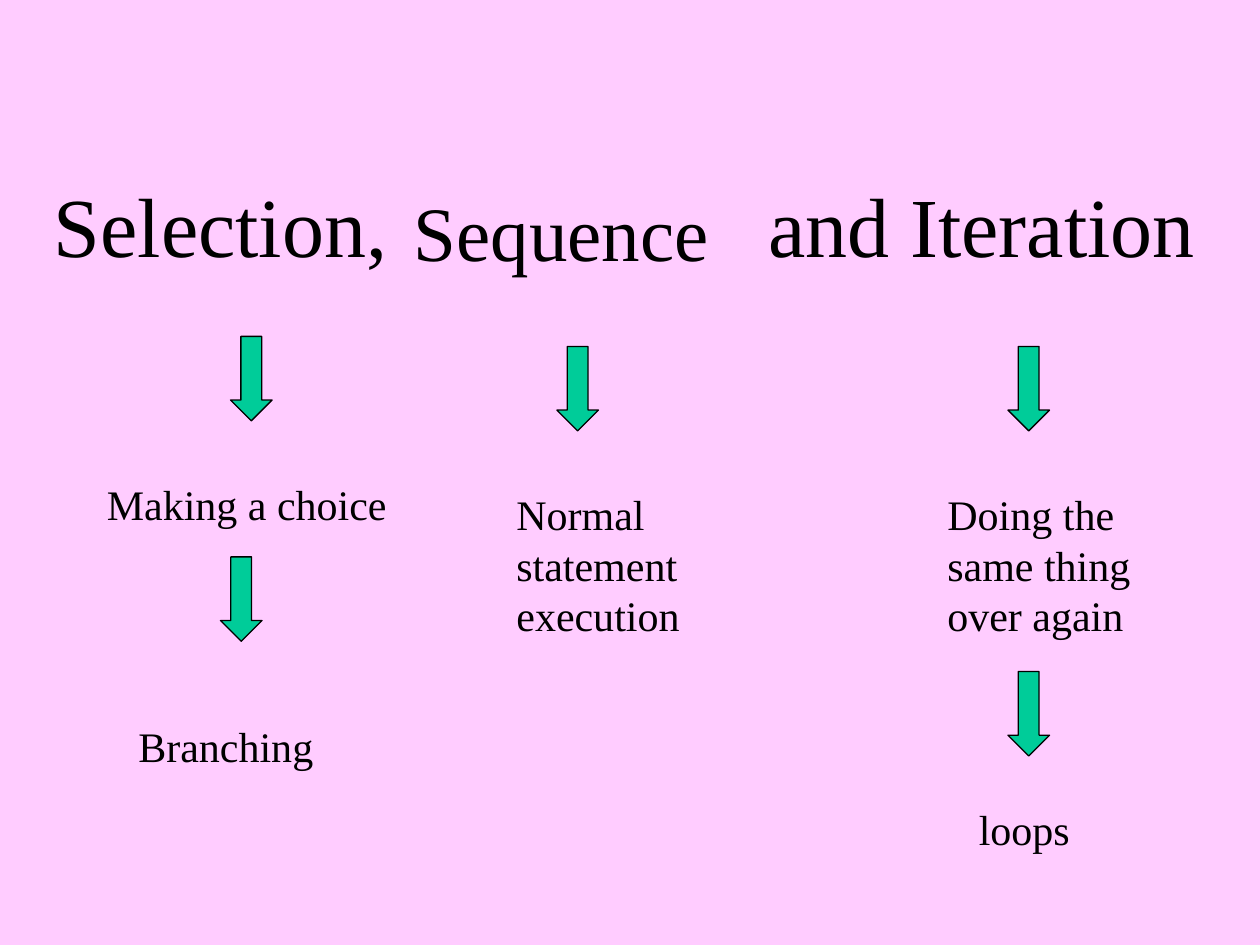
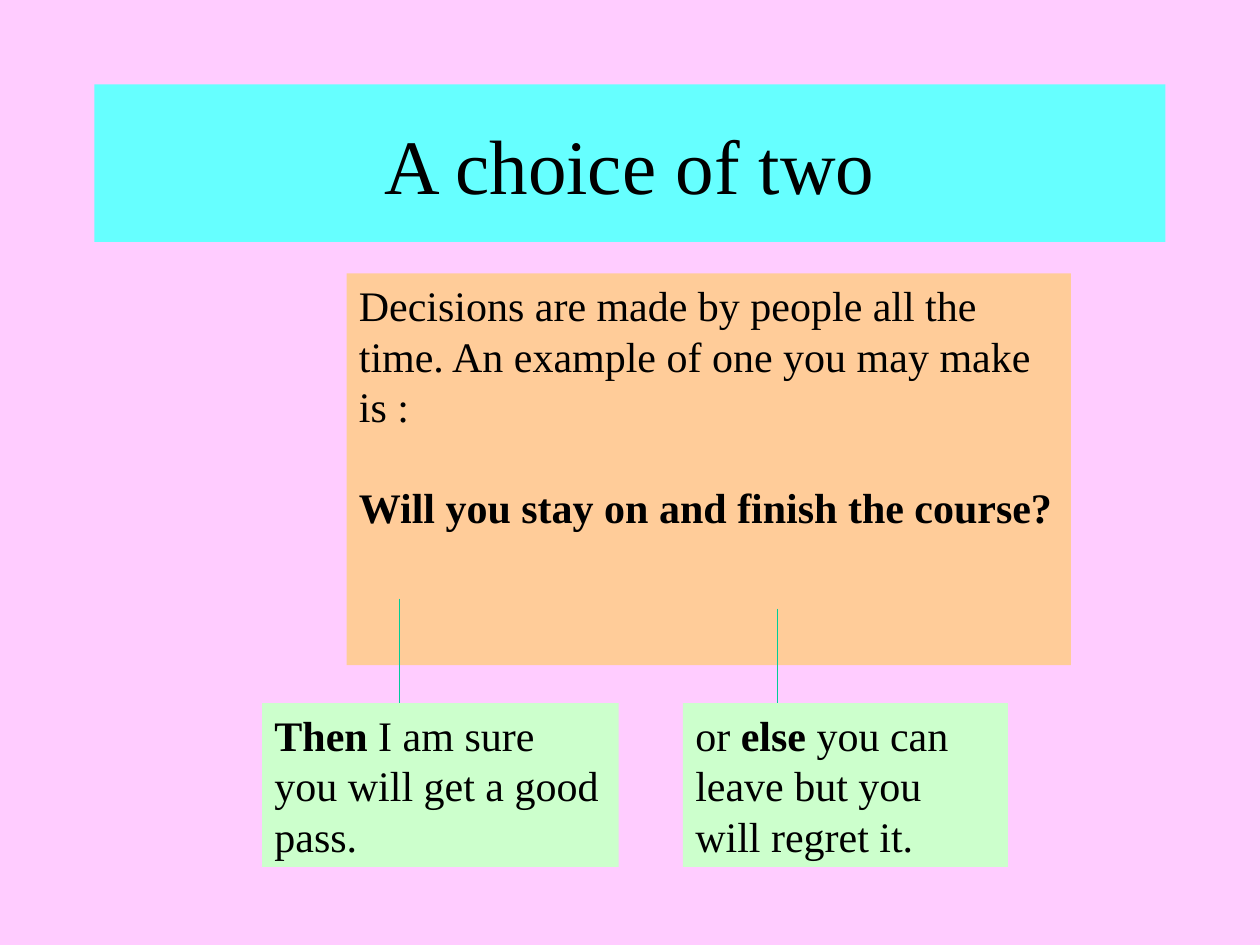
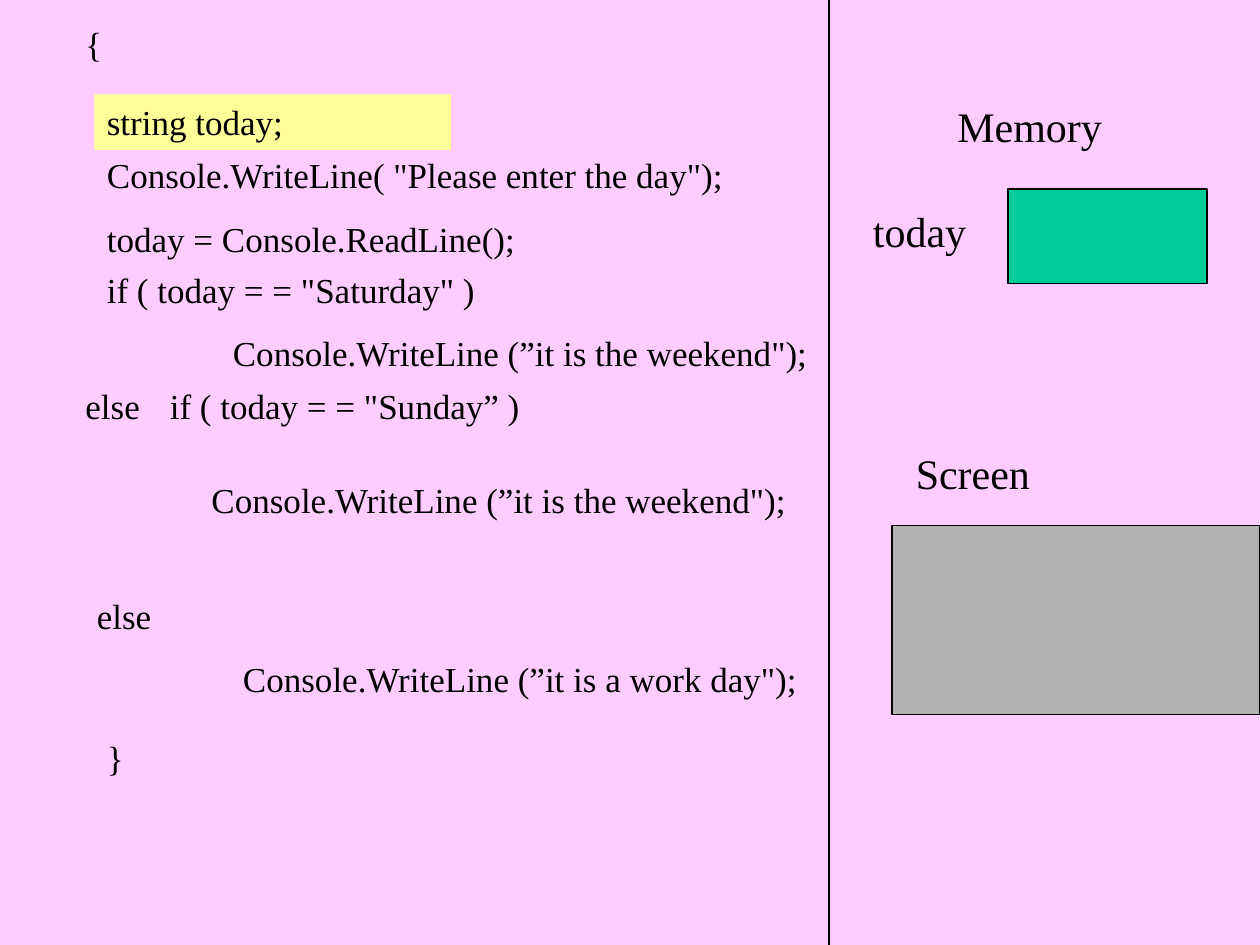
from pptx import Presentation
from pptx.dml.color import RGBColor
from pptx.enum import shapes, text
from pptx.oxml import parse_xml
from pptx.oxml.ns import nsdecls
from pptx.util import Inches, Pt

FONT = "Times New Roman"
COLORS = {
    "background": "FFCCFF", "ink": "000000", "accent": "00CC99",
    "title band": "66FFFF", "question": "FFCC99", "outcome": "CCFFCC",
    "current line": "FFFF99", "screen": "B2B2B2",
}
TITLE_SIZE, HEADING_SIZE, BODY_SIZE, CODE_SIZE = 44, 48, 24, 20
LABEL_HEIGHT, CODE_HEIGHT, THREE_LINES = 0.5, 0.44, 1.3
ARROW_WIDTH, ARROW_HEIGHT = 0.33, 0.67

# Each place is left, top, width, height in inches.
HEADINGS = [
    ("Selection,", (0.33, 1.33, 3, 0.9)),
    ("and Iteration", (6, 1.33, 4, 0.9)),
]
MEANINGS = [
    ("Making a choice", (0.75, 3.75, 2.5, LABEL_HEIGHT)),
    ("Normal statement execution", (4, 3.83, 1.75, THREE_LINES)),
    ("Doing the same thing over again", (7.42, 3.83, 1.75, THREE_LINES)),
    ("Branching", (1, 5.67, 1.67, LABEL_HEIGHT)),
    ("loops", (7.67, 6.33, 1.08, LABEL_HEIGHT)),
]
DOWN_ARROWS = [(1.83, 2.67), (4.42, 2.75), (8, 2.75), (1.75, 4.42), (8, 5.33)]

QUESTION = [
    "Decisions are made by people all the time. An example of one you may make is :",
    [("Will you stay on and finish the course?", True)],
]
BRANCHES = [(3.17, 4.75, 5.58), (6.17, 4.83, 5.67)]
OUTCOMES = [
    ([("Then", True), (" I am sure you will get a good pass.", False)],
     (2.08, 5.58, 2.83, THREE_LINES)),
    ([("or", False), (" else ", True), ("you can leave but you will regret it.", False)],
     (5.42, 5.58, 2.58, THREE_LINES)),
]

CODE = [
    ("{", 0.58, 0.13, 4.25),
    ("if ( today = = \"Saturday\" )", 0.75, 2.08, 3.67),
    ("Console.WriteLine (”it is the weekend\");", 1.75, 2.58, 5),
    ("else", 0.58, 3, 0.92),
    ("if ( today = = \"Sunday” )", 1.25, 3, 3.5),
    ("Console.WriteLine (”it is the weekend\");", 1.58, 3.75, 5),
    ("else", 0.67, 4.67, 1.17),
    ("Console.WriteLine (”it is a work day\");", 1.83, 5.17, 5),
    ("}", 0.75, 5.8, 1.33),
]
INPUT_CODE = ["Console.WriteLine( \"Please enter the day\");", "today = Console.ReadLine();"]
PANEL_LABELS = [("today", 6.83, 1.58, 1.17), ("Memory", 7.5, 0.75, 1.83), ("Screen", 7.17, 3.5, 2)]


def color(name):
    return RGBColor.from_string(COLORS[name])


def add_figure(slide, kind, place, fill, outlined=False):
    shape = slide.shapes.add_shape(kind, *map(Inches, place))
    shape.shadow.inherit = False
    shape.fill.solid()
    shape.fill.fore_color.rgb = color(fill)
    if outlined:
        shape.line.color.rgb = color("ink")
        shape.line.width = Pt(0.75)
    else:
        shape.line.fill.background()
    return shape


def add_text(slide, paragraphs, place, size=BODY_SIZE, fill=None, gap=0,
             align=text.PP_ALIGN.LEFT, anchor=text.MSO_ANCHOR.TOP):
    """Each paragraph is a string or a list of (words, bold) runs."""
    if fill:
        box = add_figure(slide, shapes.MSO_SHAPE.RECTANGLE, place, fill)
    else:
        box = slide.shapes.add_textbox(*map(Inches, place))
    frame = box.text_frame
    frame.word_wrap = True
    frame.vertical_anchor = anchor
    for index, content in enumerate(paragraphs):
        paragraph = frame.add_paragraph() if index else frame.paragraphs[0]
        paragraph.alignment = align
        if index:
            paragraph.space_before = Pt(gap)
        paragraph.font.name = FONT
        paragraph.font.size = Pt(size)
        paragraph.font.color.rgb = color("ink")
        runs = [(content, False)] if isinstance(content, str) else content
        for words, bold in runs:
            run = paragraph.add_run()
            run.text = words
            if bold:
                run.font.bold = True


def add_title(slide, title, place, fill=None):
    add_text(slide, [title], place, TITLE_SIZE, fill,
             align=text.PP_ALIGN.CENTER, anchor=text.MSO_ANCHOR.MIDDLE)


def add_vertical_line(slide, x, top, bottom, stroke):
    line = slide.shapes.add_connector(
        shapes.MSO_CONNECTOR.STRAIGHT, *map(Inches, (x, top, x, bottom)))
    line.line.color.rgb = color(stroke)
    line.line.width = Pt(0.75)
    line._element.spPr.append(parse_xml(f"<a:effectLst {nsdecls('a')}/>"))


def build_structures(slide):
    add_title(slide, "Sequence", (3.08, 1.25, 2.75, 1.17))
    for heading, place in HEADINGS:
        add_text(slide, [heading], place, HEADING_SIZE)
    for left, top in DOWN_ARROWS:
        add_figure(slide, shapes.MSO_SHAPE.DOWN_ARROW,
                   (left, top, ARROW_WIDTH, ARROW_HEIGHT), "accent", outlined=True)
    for meaning, place in MEANINGS:
        add_text(slide, [meaning], place)


def build_choice(slide):
    add_title(slide, "A choice of two", (0.75, 0.67, 8.5, 1.25), "title band")
    add_text(slide, QUESTION, (2.75, 2.17, 5.75, 3.11), fill="question", gap=28.8)
    for branch in BRANCHES:
        add_vertical_line(slide, *branch, "accent")
    for outcome, place in OUTCOMES:
        add_text(slide, [outcome], place, fill="outcome")


def build_code_trace(slide):
    add_vertical_line(slide, 6.58, 0, 7.5, "ink")
    add_text(slide, ["string today;"], (0.75, 0.75, 2.83, CODE_HEIGHT), CODE_SIZE, "current line")
    for code, left, top, width in CODE:
        add_text(slide, [code], (left, top, width, CODE_HEIGHT), CODE_SIZE)
    add_text(slide, INPUT_CODE, (0.75, 1.17, 5.75, 0.94), CODE_SIZE, gap=12.5)
    for place, fill in [((8, 1.5, 1.58, 0.75), "accent"), ((7.08, 4.17, 2.92, 1.5), "screen")]:
        add_figure(slide, shapes.MSO_SHAPE.RECTANGLE, place, fill, outlined=True)
    for label, left, top, width in PANEL_LABELS:
        add_text(slide, [label], (left, top, width, LABEL_HEIGHT))


def main():
    presentation = Presentation()
    presentation.slide_width, presentation.slide_height = Inches(10), Inches(7.5)
    background = presentation.slide_master.background.fill
    background.solid()
    background.fore_color.rgb = color("background")
    for build in (build_structures, build_choice, build_code_trace):
        build(presentation.slides.add_slide(presentation.slide_layouts[6]))
    presentation.save("out.pptx")


if __name__ == "__main__":
    main()
